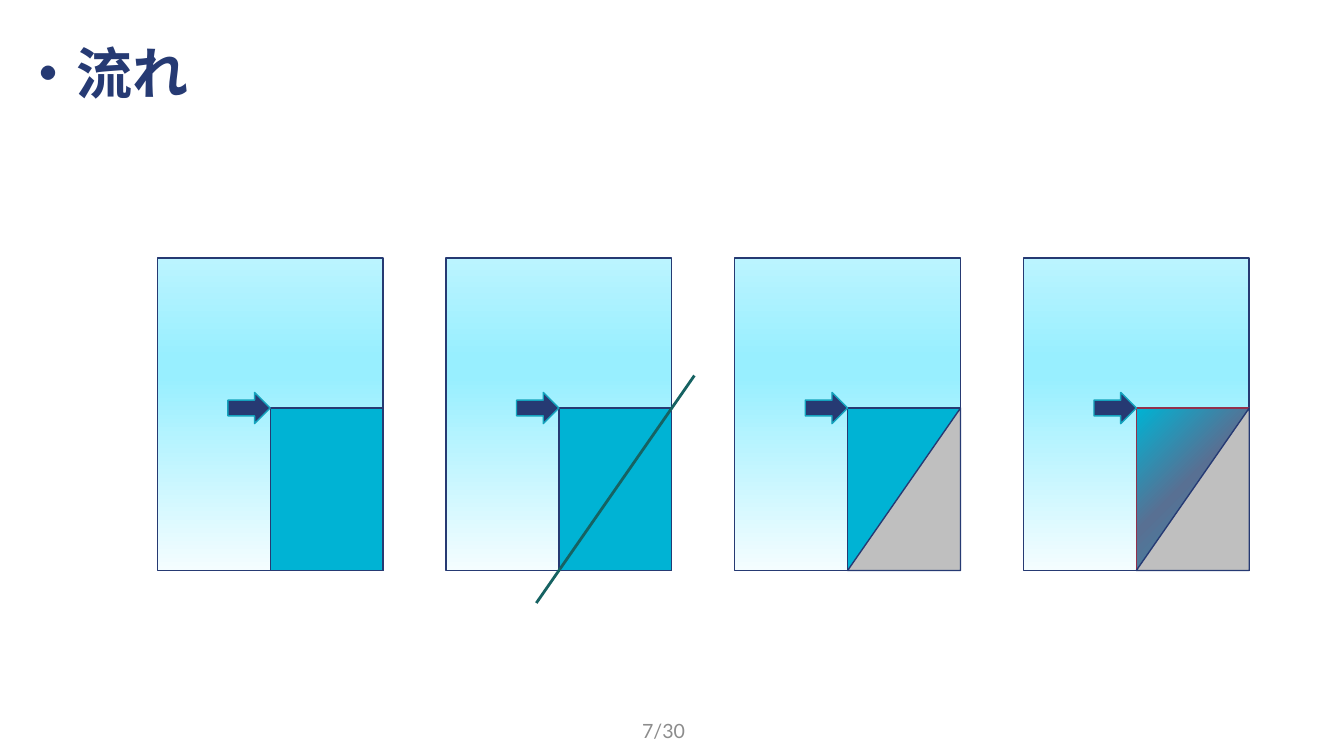
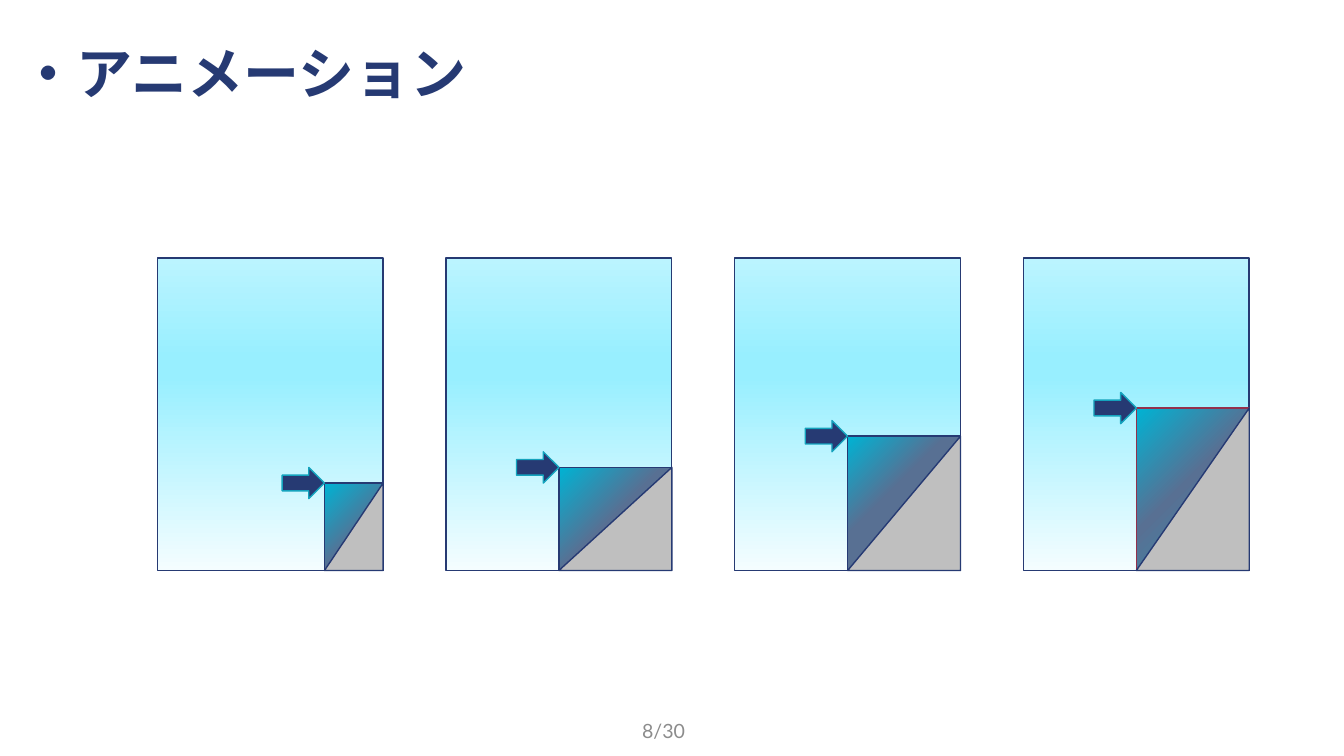
from dataclasses import dataclass

from lxml import etree
from pptx import Presentation, util as u
from pptx.dml.color import RGBColor
from pptx.enum import shapes, text
from pptx.oxml.ns import qn

# Palette and type
NAVY = RGBColor(0x26, 0x3A, 0x73)
TEAL = RGBColor(0x00, 0xB3, 0xD4)
ARROW_EDGE = RGBColor(0x14, 0xA3, 0xBD)
CREASE_GREEN = RGBColor(0x16, 0x62, 0x62)
WINE = RGBColor(0x93, 0x30, 0x4C)
FLAP_GREY = RGBColor(0xBF, 0xBF, 0xBF)
NUMBER_GREY = RGBColor(0x8C, 0x8C, 0x8C)
SLATE = RGBColor(0x58, 0x70, 0x93)
FONT = "Lato"

# Grid, in inches: four equal sheets between two margins
SLIDE_W, SLIDE_H = 13.33, 7.5
COLUMNS = 4
SHEETS_LEFT, SHEETS_RIGHT = 1.56, 12.39
SHEET_TOP, SHEET_W, SHEET_H = 2.56, 2.24, 3.1
PITCH = (SHEETS_RIGHT - SHEETS_LEFT - SHEET_W) / (COLUMNS - 1)
ARROW_W, ARROW_H = 0.42, 0.31
CREASE_OVERRUN = 0.2  # share of the fold, beyond each corner
PAGE_TOTAL = 30


@dataclass(frozen=True)
class Gradient:
    angle: int  # counter-clockwise degrees
    stops: tuple[tuple[int, RGBColor], ...]


@dataclass(frozen=True)
class Fold:
    """Folded corner; width and height are shares of the sheet."""
    width: float
    height: float
    fill: RGBColor | Gradient = TEAL
    edge: RGBColor = NAVY
    crease: bool = False
    flap: bool = True


@dataclass(frozen=True)
class Page:
    title: str
    number: int
    folds: tuple[Fold, ...]


def shade(slate_stop: int) -> Gradient:
    return Gradient(135, ((slate_stop, SLATE), (100, TEAL)))


PAPER = Gradient(270, ((0, RGBColor(0xBB, 0xF4, 0xFF)), (32, RGBColor(0x98, 0xEF, 0xFF)),
                       (38, RGBColor(0x98, 0xEF, 0xFF)), (100, RGBColor(0xF4, 0xFD, 0xFF))))
FULL_SHADE = Gradient(135, ((3, RGBColor(0x2C, 0x92, 0xB3)), (38, RGBColor(0x4C, 0x7A, 0x9C)),
                            (55, SLATE), (100, TEAL)))
FULL_FOLD = Fold(0.5, 0.52, FULL_SHADE, WINE)

PAGES = (
    Page("・流れ", 7, (
        Fold(0.5, 0.52, flap=False),
        Fold(0.5, 0.52, crease=True, flap=False),
        Fold(0.5, 0.52),
        FULL_FOLD,
    )),
    Page("・アニメーション", 8, (
        Fold(0.26, 0.28, shade(41)),
        Fold(0.5, 0.33, shade(52)),
        Fold(0.5, 0.43, shade(60)),
        FULL_FOLD,
    )),
)


def add_text(slide, words: str, box: tuple[float, ...], size: int, color: RGBColor,
             anchor: text.MSO_ANCHOR, bold: bool = False, spacing: float = 1.0) -> None:
    frame = slide.shapes.add_textbox(*map(u.Inches, box)).text_frame
    frame.word_wrap = True
    frame.vertical_anchor = anchor
    frame.margin_top = frame.margin_bottom = u.Inches(0.05)
    paragraph = frame.paragraphs[0]
    paragraph.text = words
    paragraph.line_spacing = spacing
    font = paragraph.font
    font.name, font.size, font.bold = FONT, u.Pt(size), bold
    font.color.rgb = color


def paint(shape, fill: RGBColor | Gradient) -> None:
    if isinstance(fill, RGBColor):
        shape.fill.solid()
        shape.fill.fore_color.rgb = fill
        return
    shape.fill.gradient()
    shape.fill.gradient_angle = fill.angle
    stop_list = next(shape.element.iter(qn("a:gsLst")))
    for old_stop in list(stop_list):
        stop_list.remove(old_stop)
    for position, color in fill.stops:
        stop = etree.SubElement(stop_list, qn("a:gs"), pos=str(position * 1000))
        etree.SubElement(stop, qn("a:srgbClr"), val=str(color))


def add_figure(slide, kind: shapes.MSO_SHAPE, box: tuple[float, ...],
               fill: RGBColor | Gradient, edge: RGBColor = NAVY):
    shape = slide.shapes.add_shape(kind, *map(u.Inches, box))
    shape.shadow.inherit = False
    paint(shape, fill)
    shape.line.color.rgb = edge
    shape.line.width = u.Pt(1)
    return shape


def add_crease(slide, box: tuple[float, ...]) -> None:
    left, top, width, height = box
    dx, dy = width * CREASE_OVERRUN, height * CREASE_OVERRUN
    ends = (left + width + dx, top - dy, left - dx, top + height + dy)
    line = slide.shapes.add_connector(shapes.MSO_CONNECTOR.STRAIGHT, *map(u.Inches, ends))
    line.line.color.rgb = CREASE_GREEN
    line.line.width = u.Pt(2)
    etree.SubElement(line.element.spPr, qn("a:effectLst"))


def add_sheet(slide, column: int, fold: Fold) -> None:
    left = SHEETS_LEFT + column * PITCH
    add_figure(slide, shapes.MSO_SHAPE.RECTANGLE, (left, SHEET_TOP, SHEET_W, SHEET_H), PAPER)

    # The fold sits in the lower right corner of the sheet
    width, height = fold.width * SHEET_W, fold.height * SHEET_H
    corner_left = left + SHEET_W - width
    corner_top = SHEET_TOP + SHEET_H - height
    corner = (corner_left, corner_top, width, height)
    add_figure(slide, shapes.MSO_SHAPE.RECTANGLE, corner, fold.fill, fold.edge)
    if fold.crease:
        add_crease(slide, corner)
    if fold.flap:
        flap = add_figure(slide, shapes.MSO_SHAPE.ISOSCELES_TRIANGLE, corner, FLAP_GREY)
        flap.adjustments[0] = 1.0

    # The arrow points at the upper left corner of the fold
    arrow = (corner_left - ARROW_W, corner_top - ARROW_H / 2, ARROW_W, ARROW_H)
    add_figure(slide, shapes.MSO_SHAPE.RIGHT_ARROW, arrow, NAVY, ARROW_EDGE)


def add_page(deck, page: Page) -> None:
    slide = deck.slides.add_slide(deck.slide_layouts[6])
    add_text(slide, page.title, (0.11, 0.28, 6.8, 0.82), 40, NAVY,
             text.MSO_ANCHOR.BOTTOM, bold=True, spacing=0.85)
    add_text(slide, f"{page.number}/{PAGE_TOTAL}", (6.27, 7.14, 0.79, 0.22), 14,
             NUMBER_GREY, text.MSO_ANCHOR.MIDDLE)
    for column, fold in enumerate(page.folds):
        add_sheet(slide, column, fold)


def main() -> None:
    deck = Presentation()
    deck.slide_width, deck.slide_height = u.Inches(SLIDE_W), u.Inches(SLIDE_H)
    for page in PAGES:
        add_page(deck, page)
    deck.save("out.pptx")


if __name__ == "__main__":
    main()
